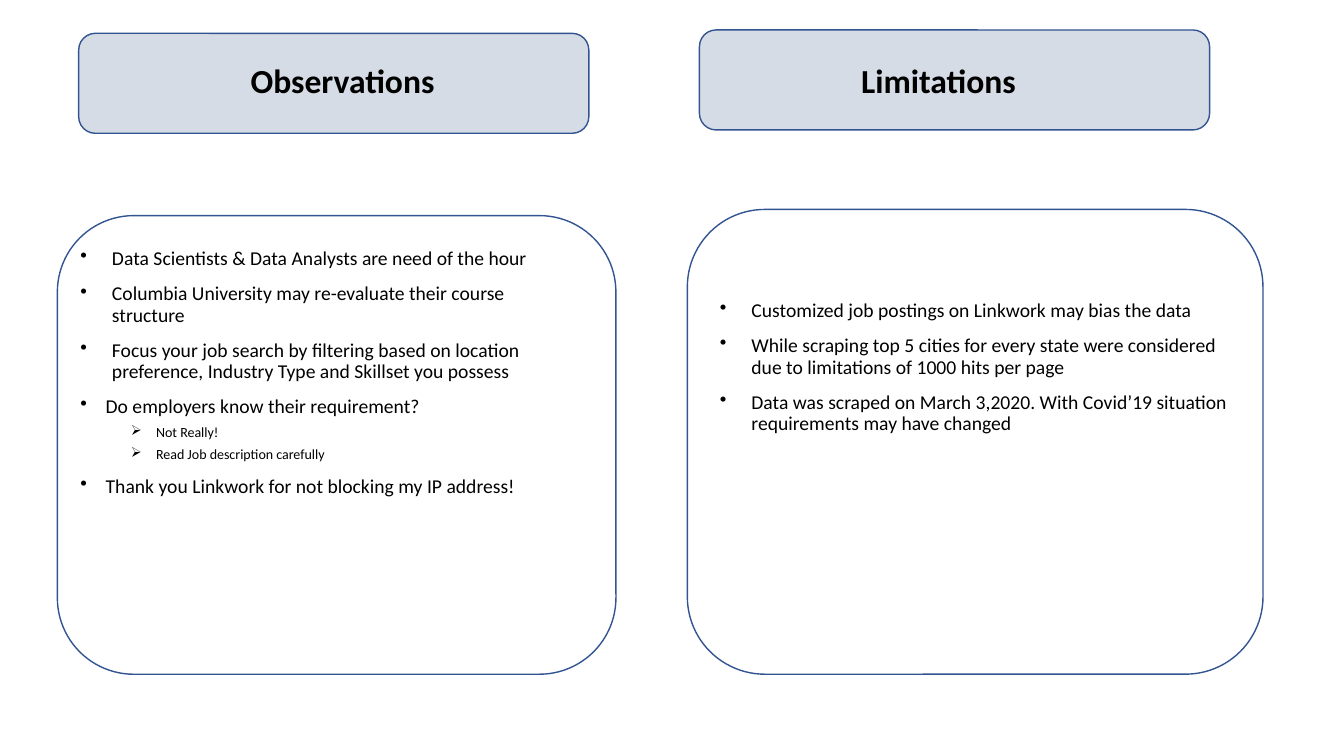
import pptx
import pptx.util
import pptx.dml.color
import pptx.enum.shapes
import pptx.enum.text
import pptx.oxml.ns
import lxml.etree

Pt = pptx.util.Pt
COLOURS = {"white": "FFFFFF", "heading": "D6DCE5", "outline": "325491", "text": "000000"}
FONT = "Calibri"
ANCHOR = pptx.enum.text.MSO_ANCHOR
ALIGN = pptx.enum.text.PP_ALIGN


def colour(name):
    return pptx.dml.color.RGBColor.from_string(COLOURS[name])


def write(paragraph, text, size=14, bold=False, align=ALIGN.LEFT, spacing=0.9,
          before=0, bullet=None, indent=0, hanging=0, level=0):
    """Fill one paragraph and format it."""
    paragraph.level = level
    properties = paragraph._p.get_or_add_pPr()
    properties.set("marL", str(Pt(indent)))
    properties.set("indent", str(-Pt(hanging)))
    tag = "a:buChar" if bullet else "a:buNone"
    mark = lxml.etree.SubElement(properties, pptx.oxml.ns.qn(tag))
    if bullet:
        mark.set("char", bullet)
    paragraph.alignment = align
    paragraph.line_spacing = spacing
    paragraph.space_before = Pt(before)
    run = paragraph.add_run()
    run.text = text
    run.font.name = FONT
    run.font.size = Pt(size)
    run.font.bold = bold
    run.font.color.rgb = colour("text")


class SlideBuilder:
    def __init__(self, presentation):
        self.slide = presentation.slides.add_slide(presentation.slide_layouts[5])

    def panel(self, left, top, width, height, fill):
        shape = self.slide.shapes.add_shape(
            pptx.enum.shapes.MSO_SHAPE.ROUNDED_RECTANGLE,
            Pt(left), Pt(top), Pt(width), Pt(height))
        shape.shadow.inherit = False
        shape.fill.solid()
        shape.fill.fore_color.rgb = colour(fill)
        shape.line.color.rgb = colour("outline")
        shape.line.width = Pt(1)
        return shape

    def text_box(self, left, top, width, height):
        return self.slide.shapes.add_textbox(Pt(left), Pt(top), Pt(width), Pt(height))

    def title(self, left, top, width, height):
        shape = self.slide.shapes.title
        shape.left, shape.top, shape.width, shape.height = map(Pt, (left, top, width, height))
        # Bring the title in front of its panel
        shape.element.getparent().append(shape.element)
        return shape

    def heading(self, shape, text):
        frame = self.frame(shape, ANCHOR.BOTTOM)
        write(frame.paragraphs[0], text, size=24, bold=True, align=ALIGN.CENTER, spacing=0.8)

    def bullets(self, shape, items, margin_top=3.6):
        frame = self.frame(shape, ANCHOR.TOP)
        frame.margin_top = Pt(margin_top)
        for index, (text, style) in enumerate(items):
            paragraph = frame.add_paragraph() if index else frame.paragraphs[0]
            style = dict(style, before=style["before"] if index else 0)
            write(paragraph, text, **style)

    def frame(self, shape, anchor):
        frame = shape.text_frame
        frame.word_wrap = True
        frame.auto_size = pptx.enum.text.MSO_AUTO_SIZE.NONE
        frame.vertical_anchor = anchor
        return frame


# Bullet styles
WIDE = dict(bullet="•", indent=22.5, hanging=22.5, before=10)
NARROW = dict(bullet="•", indent=18, hanging=18, before=10)
ANSWER = dict(bullet="➢", indent=54, hanging=18, before=5, size=10, level=1)

OBSERVATIONS = [
    ("Data Scientists & Data Analysts are need of the hour", WIDE),
    ("Columbia University may re-evaluate their course structure", WIDE),
    ("Focus your job search by filtering based on location preference, "
     "Industry Type and Skillset you possess", WIDE),
    ("Do employers know their requirement?", NARROW),
    ("Not Really!", ANSWER),
    ("Read Job description carefully", ANSWER),
    ("Thank you Linkwork for not blocking my IP address!", NARROW),
]
LIMITATIONS = [
    ("Customized job postings on Linkwork may bias the data", WIDE),
    ("While scraping top 5 cities for every state were considered "
     "due to limitations of 1000 hits per page", WIDE),
    ("Data was scraped on March 3,2020. With Covid’19 situation "
     "requirements may have changed", WIDE),
]


def main():
    presentation = pptx.Presentation()
    presentation.slide_width = Pt(960)
    presentation.slide_height = Pt(540)
    builder = SlideBuilder(presentation)

    # Panels
    limitations_panel = builder.panel(491, 149.6, 411.2, 332, "white")
    builder.panel(499.6, 21.4, 364.4, 71.4, "heading")
    builder.panel(56.2, 23.8, 364.4, 71.4, "heading")
    builder.panel(41, 154, 399, 327.6, "white")

    # Observations
    builder.heading(builder.title(69, 44, 351.4, 31), "Observations")
    builder.bullets(builder.text_box(50.4, 174.2, 370, 294.4), OBSERVATIONS)

    # Limitations
    builder.heading(builder.text_box(495.4, 31.8, 350, 43.2), "Limitations")
    builder.bullets(limitations_panel, LIMITATIONS, margin_top=49)

    presentation.save("out.pptx")


if __name__ == "__main__":
    main()
